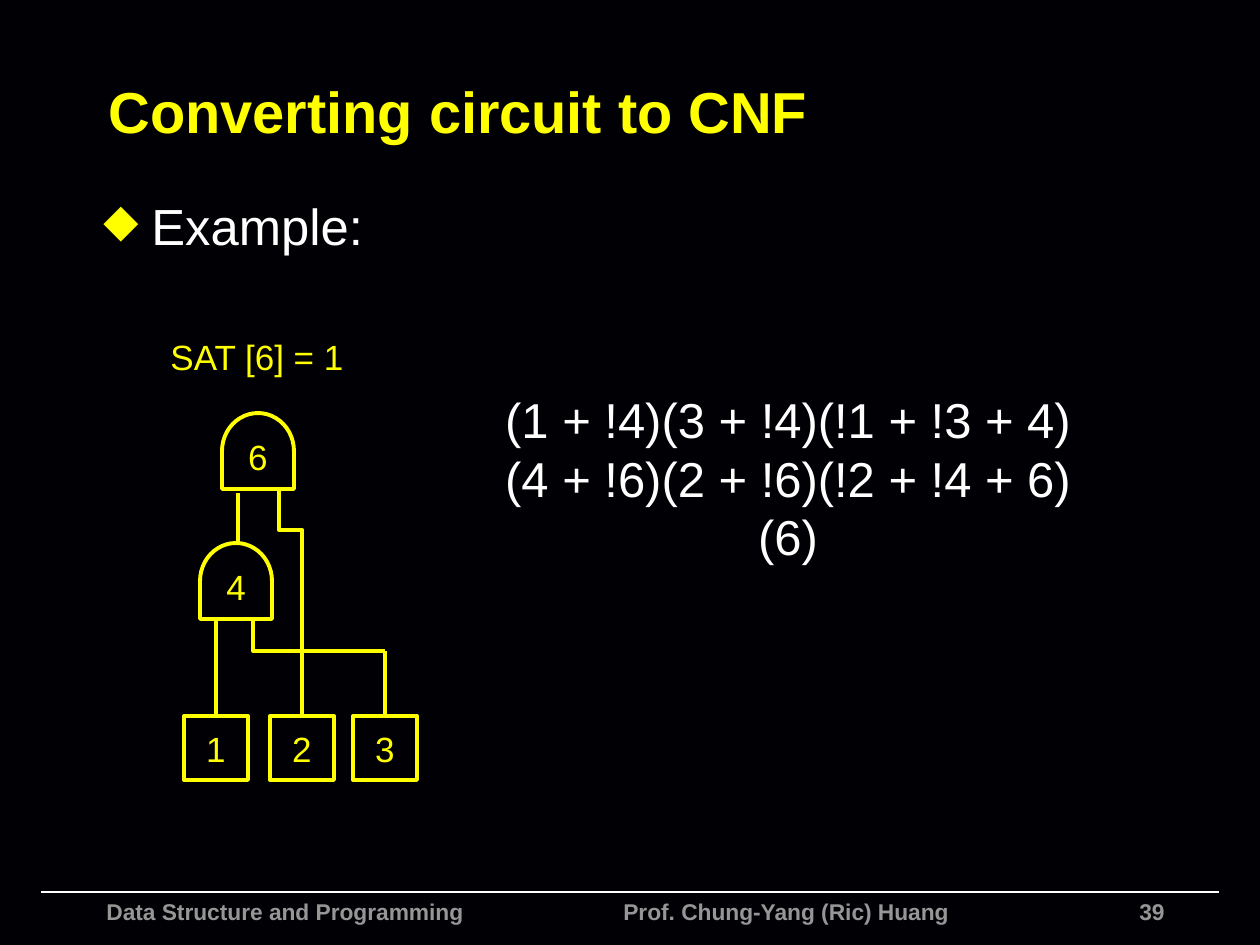
from lxml import etree
from pptx import Presentation, util as u
from pptx.dml.color import RGBColor
from pptx.enum import shapes, text
from pptx.oxml.ns import qn

PX = 914400 / 126
YELLOW, WHITE, GREY, DARK = "FFFF00", "FFFFFF", "969696", "010004"
LEFT, CENTER, RIGHT = text.PP_ALIGN.LEFT, text.PP_ALIGN.CENTER, text.PP_ALIGN.RIGHT
BOX, GATE_W, GATE_H = 64, 76, 72


def emu(*lengths):
    return [u.Emu(round(n * PX)) for n in lengths]


def rgb(color):
    return RGBColor.from_string(color)


class Deck:
    """Holds the font, line style and current slide."""
    font, line_width = "Arial", 2.25

    def __init__(self, width, height):
        self.prs = Presentation()
        self.prs.slide_width, self.prs.slide_height = emu(width, height)

    def new_slide(self, background):
        self.s = self.prs.slides.add_slide(self.prs.slide_layouts[5])
        fill = self.s.background.fill
        fill.solid()
        fill.fore_color.rgb = rgb(background)

    def set_text(self, sp, words, size, color, align=LEFT, bold=False,
                 anchor=text.MSO_ANCHOR.TOP, wrap=True):
        tf = sp.text_frame
        tf.text = words
        tf.word_wrap, tf.vertical_anchor = wrap, anchor
        for p in tf.paragraphs:
            p.alignment = align
            for r in p.runs:
                r.font.name, r.font.size, r.font.bold = self.font, u.Pt(size), bold
                r.font.color.rgb = rgb(color)

    def title(self, x, y, w, h, words):
        sp = self.s.shapes.title
        sp.left, sp.top, sp.width, sp.height = emu(x, y, w, h)
        self.set_text(sp, words, 33, YELLOW, bold=True, anchor=text.MSO_ANCHOR.MIDDLE)

    def textbox(self, x, y, w, h, words, size, color, **style):
        sp = self.s.shapes.add_textbox(*emu(x, y, w, h))
        self.set_text(sp, words, size, color, **style)
        return sp

    def bullet(self, x, y, w, h, words):
        sp = self.textbox(x, y, w, h, words, 29, WHITE)
        p = sp.text_frame.paragraphs[0]
        p.space_before = u.Pt(5)
        pPr = p._p.get_or_add_pPr()
        indent = emu(48)[0]
        pPr.set("marL", str(indent))
        pPr.set("indent", str(-indent))
        color = etree.SubElement(pPr, qn("a:buClr"))
        etree.SubElement(color, qn("a:srgbClr"), val=YELLOW)
        etree.SubElement(pPr, qn("a:buSzPct"), val="90000")
        etree.SubElement(pPr, qn("a:buChar"), char="◆")

    def outline(self, sp):
        sp.shadow.inherit = False
        sp.fill.background()
        self.stroke(sp)

    def stroke(self, sp, color=YELLOW, width=line_width):
        sp.line.color.rgb = rgb(color)
        sp.line.width = u.Pt(width)

    def box(self, x, y, label):
        sp = self.s.shapes.add_shape(shapes.MSO_SHAPE.RECTANGLE, *emu(x, y, BOX, BOX))
        self.outline(sp)
        self.set_text(sp, label, 20, YELLOW, align=CENTER,
                      anchor=text.MSO_ANCHOR.MIDDLE, wrap=False)
        return sp

    def gate(self, cx, cy, label):
        """AND gate pointing up; its label stays upright."""
        sp = self.s.shapes.add_shape(
            shapes.MSO_SHAPE.FLOWCHART_DELAY,
            *emu(cx - GATE_W / 2, cy - GATE_H / 2, GATE_W, GATE_H))
        sp.rotation = 270
        self.outline(sp)
        self.textbox(cx - 23, cy - 22, 46, 56, label, 20, YELLOW,
                     align=CENTER, wrap=False)

    def connector(self, x1, y1, x2, y2, kind=shapes.MSO_CONNECTOR.STRAIGHT, **style):
        c = self.s.shapes.add_connector(kind, *emu(x1, y1, x2, y2))
        self.stroke(c, **style)
        etree.SubElement(c._element.spPr, qn("a:effectLst"))
        return c

    def elbow_up(self, x1, y1, x2, y2, bend):
        """Wire going up, left at the given share of its height, then up."""
        cx, cy = (x1 + x2) / 2, (y1 + y2) / 2
        dx, dy = (y1 - y2) / 2, (x1 - x2) / 2
        c = self.connector(cx - dx, cy + dy, cx + dx, cy - dy,
                           shapes.MSO_CONNECTOR.ELBOW)
        spPr = c._element.spPr
        spPr.find(qn("a:xfrm")).set("rot", str(270 * 60000))
        geom = spPr.find(qn("a:prstGeom"))
        guides = geom.find(qn("a:avLst"))
        if guides is None:
            guides = etree.SubElement(geom, qn("a:avLst"))
        etree.SubElement(guides, qn("a:gd"), name="adj1",
                         fmla=f"val {round(bend * 100000)}")

    def polyline(self, start, *points):
        fb = self.s.shapes.build_freeform(*start, scale=PX)
        fb.add_line_segments(points, close=False)
        self.outline(fb.convert_to_shape())


def main():
    d = Deck(1260, 945)
    d.new_slide(DARK)

    d.connector(41, 892, 1219, 892, color=WHITE, width=1)
    for x, w, words, align in ((94, 480, "Data Structure and Programming", LEFT),
                               (611, 390, "Prof. Chung-Yang (Ric) Huang", LEFT),
                               (1051, 126, "39", RIGHT)):
        d.textbox(x, 892, w, 40, words, 13, GREY, align=align, bold=True)

    d.title(96, 47, 1114, 127, "Converting circuit to CNF")
    d.bullet(91, 189, 1071, 651, "Example:")

    box_top = 716
    box1, _, box3 = [d.box(x, box_top, label)
                     for x, label in ((184, "1"), (270, "2"), (353, "3"))]
    d.gate(236, 581, "4")
    d.gate(258, 451, "6")

    d.connector(216, box_top, 216, 619).begin_connect(box1, 0)
    d.connector(385, box_top, 385, 651).begin_connect(box3, 0)
    d.polyline((385, 651), (253, 651), (253, 619))
    d.elbow_up(302, box_top, 279, 489, 0.82)
    d.connector(238, 542, 238, 493)

    d.textbox(489, 383, 598, 190,
              "(1 + !4)(3 + !4)(!1 + !3 + 4)\n(4 + !6)(2 + !6)(!2 + !4 + 6)\n(6)",
              28, WHITE, align=CENTER, wrap=False)
    d.textbox(157, 329, 200, 56, "SAT [6] = 1", 20, YELLOW, align=CENTER, wrap=False)

    d.prs.save("out.pptx")


if __name__ == "__main__":
    main()
